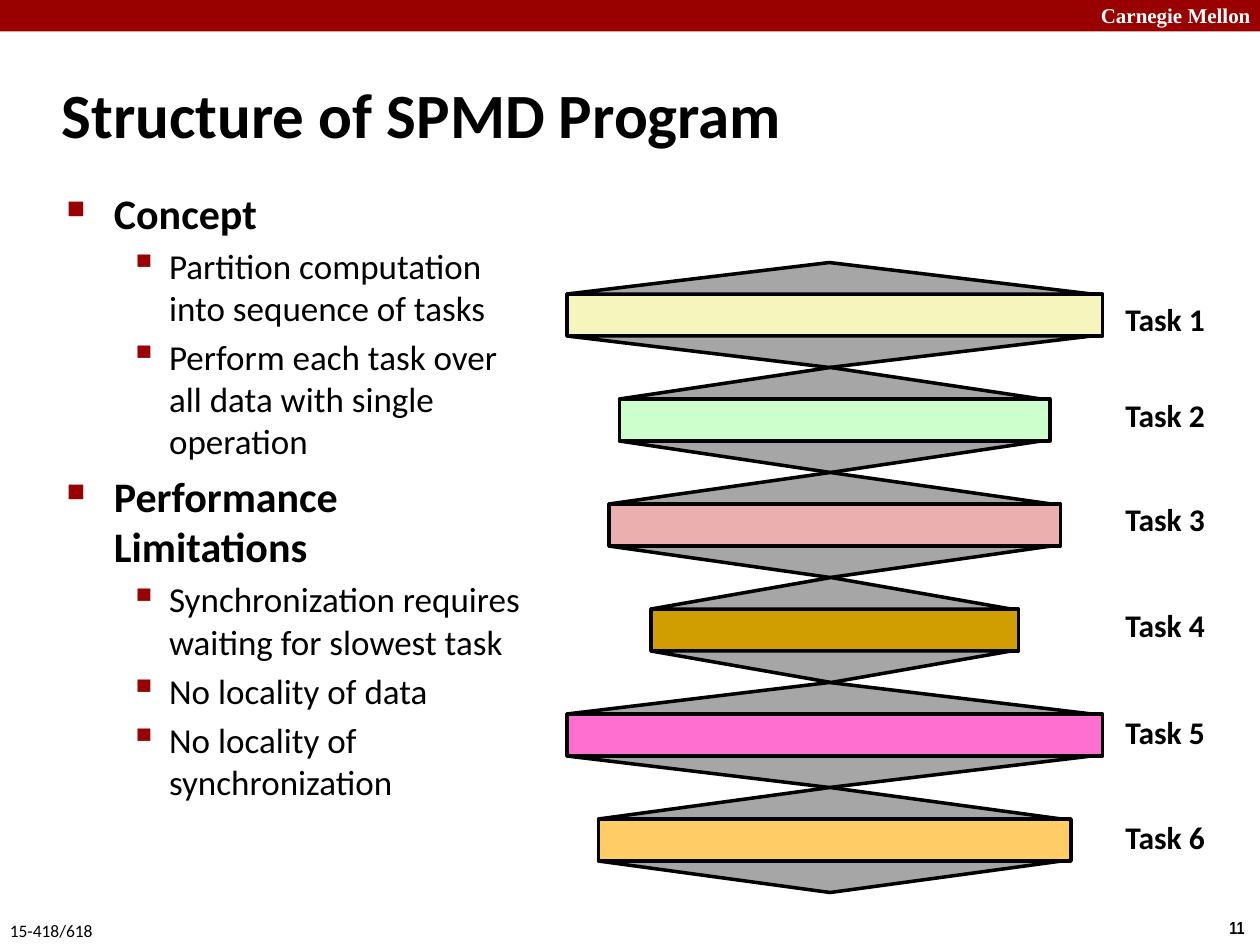
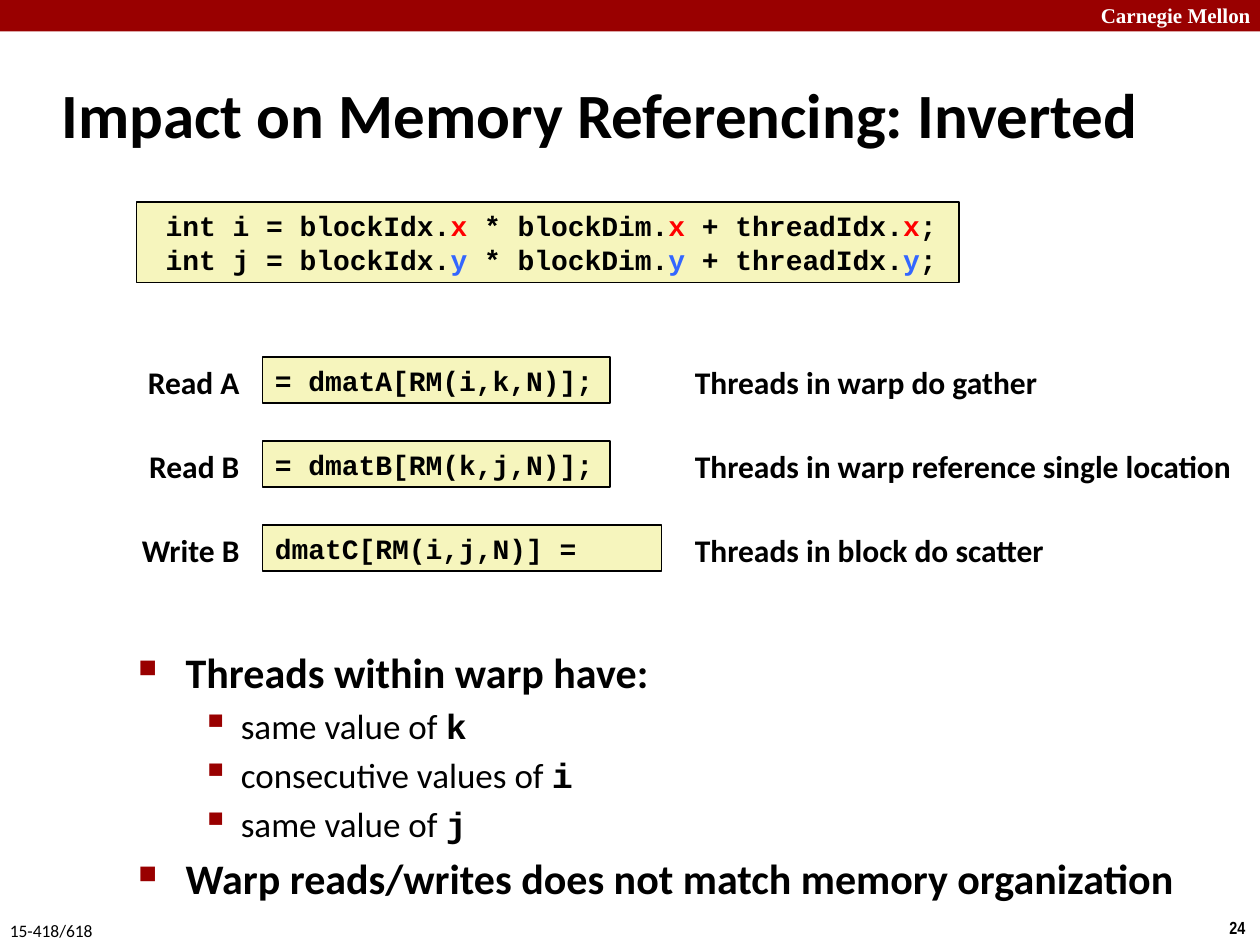
from lxml import etree
from pptx import Presentation
from pptx.dml.color import RGBColor
from pptx.enum.shapes import MSO_SHAPE
from pptx.enum.text import MSO_ANCHOR, MSO_AUTO_SIZE, PP_ALIGN
from pptx.oxml.ns import qn
from pptx.util import Pt

RECT = MSO_SHAPE.RECTANGLE
TRI = MSO_SHAPE.ISOSCELES_TRIANGLE
LEFT, RIGHT = PP_ALIGN.LEFT, PP_ALIGN.RIGHT
TOP, MIDDLE = MSO_ANCHOR.TOP, MSO_ANCHOR.MIDDLE
FIXED = MSO_AUTO_SIZE.NONE

BLACK = RGBColor(0x00, 0x00, 0x00)
WHITE = RGBColor(0xFF, 0xFF, 0xFF)
CRIMSON = RGBColor(0x99, 0x00, 0x00)
CREAM = RGBColor(0xF6, 0xF5, 0xBD)
GRAY = RGBColor(0xA6, 0xA6, 0xA6)
MINT = RGBColor(0xCC, 0xFF, 0xCC)
ROSE = RGBColor(0xEB, 0xAF, 0xAF)
GOLD = RGBColor(0xD0, 0x9E, 0x00)
PINK = RGBColor(0xFF, 0x6F, 0xCF)
AMBER = RGBColor(0xFF, 0xCC, 0x66)
RED = RGBColor(0xFF, 0x00, 0x00)
BLUE = RGBColor(0x33, 0x66, 0xFF)

SANS, MONO = "Calibri", "Courier New"
SERIF, THIN = "Times New Roman", "Arial Narrow"
WIDE, HIGH = 720, 540

# Bullet levels: indent, hang, mark, mark size in %, text size, bold
LEVELS = [(27, 27, "■", 60, 24, True), (58.5, 22.5, "▪", 110, 20, False)]


def style(font, size, name=SANS, bold=True, color=BLACK):
    font.size = Pt(size)
    font.name = name
    font.bold = bold
    font.color.rgb = color


def paint(shape, fill, width):
    shape.fill.solid()
    shape.fill.fore_color.rgb = fill
    shape.line.color.rgb = BLACK
    shape.line.width = Pt(width)


def draw(slide, kind, box, fill, width=0):
    shape = slide.shapes.add_shape(kind, *map(Pt, box))
    shape.shadow.inherit = False
    paint(shape, fill, width)
    if not width:
        shape.line.fill.background()
    return shape


def write(slide, box, text, size, name=SANS, bold=True, color=BLACK,
          align=LEFT, wrap=False):
    shape = slide.shapes.add_textbox(*map(Pt, box))
    frame = shape.text_frame
    frame.word_wrap = wrap
    para = frame.paragraphs[0]
    para.text = text
    para.alignment = align
    style(para.font, size, name, bold, color)
    return shape


def start(deck, title, page, width):
    """Title, top band and footer shared by all slides."""
    slide = deck.slides.add_slide(deck.slide_layouts[5])
    draw(slide, RECT, (0, 0, WIDE, 18), CRIMSON)
    write(slide, (622, -2, 103, 22), "Carnegie Mellon", 12, SERIF,
          color=WHITE, wrap=True)
    write(slide, (695.5, 520.5, 24.5, 19.5), page, 10, THIN)
    write(slide, (-1.5, 522, 62.5, 19.5), "15-418/618", 10, bold=False)

    head = slide.shapes.title
    head.left, head.top = Pt(28), Pt(34.5)
    head.width, head.height = Pt(width), Pt(60)
    frame = head.text_frame
    frame.text = title
    frame.auto_size = FIXED
    frame.vertical_anchor = MIDDLE
    para = frame.paragraphs[0]
    para.alignment = LEFT
    style(para.font, 36)
    return slide


def mark(para, level):
    """Give a paragraph its square bullet and hanging indent."""
    left, hang, char, scale = LEVELS[level][:4]
    props = para._p.get_or_add_pPr()
    props.set("marL", str(Pt(left)))
    props.set("indent", str(-Pt(hang)))
    tint = etree.SubElement(props, qn("a:buClr"))
    etree.SubElement(tint, qn("a:srgbClr"), val=str(CRIMSON))
    etree.SubElement(props, qn("a:buSzPct"), val=str(scale * 1000))
    etree.SubElement(props, qn("a:buChar"), char=char)


def points(slide, box, items):
    """Bulleted list; an item is level, text and an optional code word."""
    frame = slide.shapes.add_textbox(*map(Pt, box)).text_frame
    frame.word_wrap = True
    frame.vertical_anchor = TOP
    for n, (level, text, *code) in enumerate(items):
        para = frame.add_paragraph() if n else frame.paragraphs[0]
        size, bold = LEVELS[level][4:]
        para.level = level
        if n:
            para.space_before = Pt(size * 0.2)
        mark(para, level)
        run = para.add_run()
        run.text = text
        if code:
            style(run.font, size, bold=bold)
            word = para.add_run()
            word.text = code[0]
            style(word.font, size, MONO)
        else:
            style(para.font, size, bold=bold)


def stack(slide, mid, top, tasks):
    """Centred task bars, each fanning out from and into a point."""
    bar, fan, pitch = 24, 18, 60
    for n, (width, fill) in enumerate(tasks):
        left, y = mid - width / 2, top + n * pitch
        span = width * 0.98
        draw(slide, RECT, (left, y + fan, width, bar), fill, 2)
        draw(slide, TRI, (left, y, span, fan), GRAY, 2)
        low = draw(slide, TRI, (left, y + fan + bar, span, fan), GRAY, 2)
        low.rotation = 180


def code(slide, box, text=""):
    shape = write(slide, box, text, 16, MONO)
    paint(shape, CREAM, 1)
    shape.text_frame.vertical_anchor = MIDDLE
    return shape.text_frame


def index(slide, box):
    """Index code with the axis letters in colour."""
    frame = code(slide, box)
    for n, (name, axis, color) in enumerate([("i", "x", RED), ("j", "y", BLUE)]):
        para = frame.add_paragraph() if n else frame.paragraphs[0]
        parts = [f" int {name} = blockIdx.", axis, " * blockDim.", axis,
                 " + threadIdx.", axis, ";"]
        for part in parts:
            run = para.add_run()
            run.text = part
            style(run.font, 16, MONO, color=color if part == axis else BLACK)


def access(slide, left, top, rows):
    """Rows of label, code box and remark."""
    for n, (name, text, width, note) in enumerate(rows):
        y = top + n * 48
        code(slide, (left + 78, y, width, 26.5), text)
        write(slide, (left, y, 72, 29), name, 18, align=RIGHT)
        write(slide, (left + 318, y, 326, 29), note, 18, wrap=True)


def spmd(deck):
    slide = start(deck, "Structure of SPMD Program", "11", 656)
    points(slide, (31, 103.5, 275, 395), [
        (0, "Concept"),
        (1, "Partition computation into sequence of tasks"),
        (1, "Perform each task over all data with single operation"),
        (0, "Performance Limitations"),
        (1, "Synchronization requires waiting for slowest task"),
        (1, "No locality of data"),
        (1, "No locality of synchronization"),
    ])
    stack(slide, 477, 150, [(306, CREAM), (246, MINT), (258, ROSE),
                            (210, GOLD), (306, PINK), (270, AMBER)])
    for n, y in enumerate((168, 223, 282, 343, 404, 464), 1):
        write(slide, (636, y, 62, 29), f"Task {n}", 18)


def memory(deck):
    slide = start(deck, "Impact on Memory Referencing: Inverted", "24", 668)
    points(slide, (72, 366, 630, 96), [
        (0, "Threads within warp have:"),
        (1, "same value of ", "k"),
        (1, "consecutive values of ", "i"),
        (1, "same value of ", "j"),
        (0, "Warp reads/writes does not match memory organization"),
    ])
    index(slide, (78, 115.5, 470, 46))
    access(slide, 72, 204, [
        ("Read A", "= dmatA[RM(i,k,N)];", 198.5, "Threads in warp do gather"),
        ("Read B", "= dmatB[RM(k,j,N)];", 198.5,
         "Threads in warp reference single location"),
        ("Write B", "dmatC[RM(i,j,N)] =", 228, "Threads in block do scatter"),
    ])


def main():
    deck = Presentation()
    deck.slide_width, deck.slide_height = Pt(WIDE), Pt(HIGH)
    spmd(deck)
    memory(deck)
    deck.save("out.pptx")


if __name__ == "__main__":
    main()
